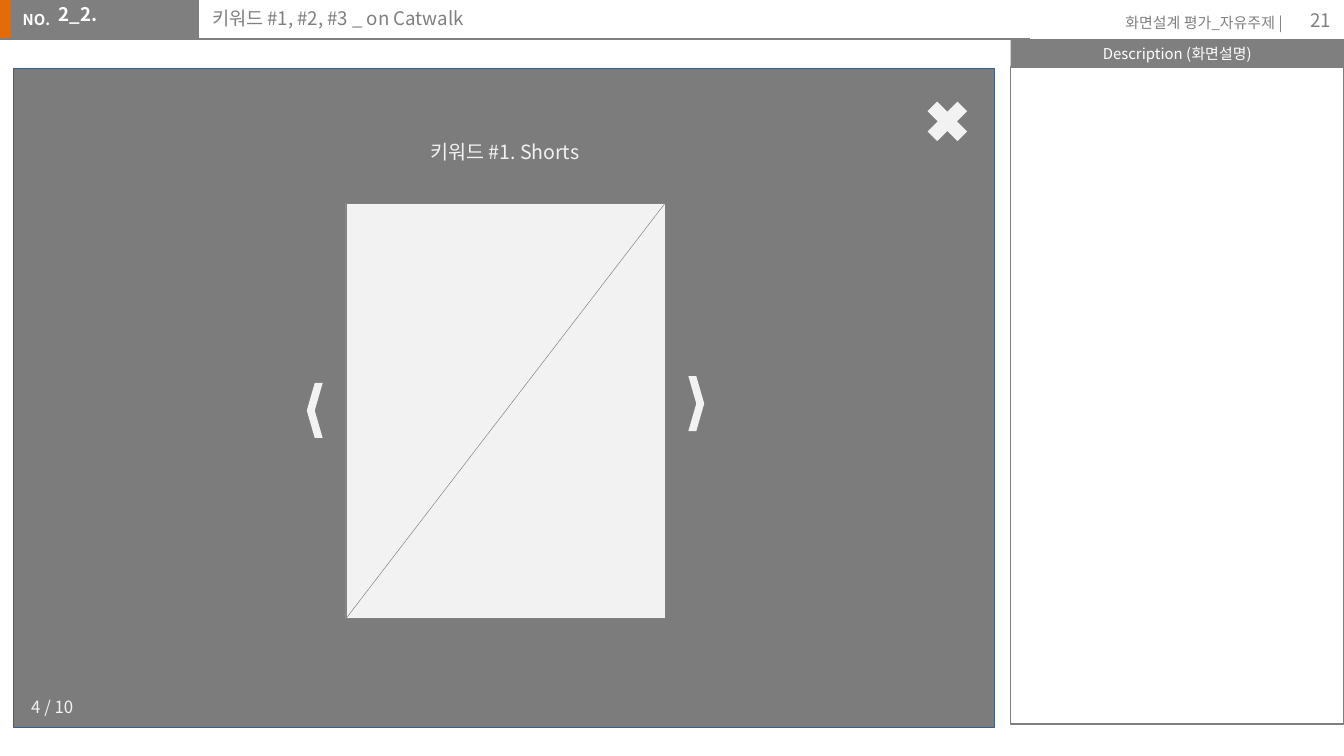
from lxml.etree import SubElement
from pptx import Presentation
from pptx.dml.color import RGBColor
from pptx.enum.shapes import MSO_CONNECTOR, MSO_SHAPE
from pptx.enum.text import MSO_ANCHOR, MSO_AUTO_SIZE, PP_ALIGN
from pptx.oxml.ns import qn
from pptx.util import Cm, Pt

FONT = "Noto Sans CJK KR"
WHITE, PALE, GREY, MID_GREY = "FFFFFF", "F2F2F2", "7F7F7F", "808080"
ORANGE, DARK, BLUE = "E36C09", "262626", "3A5F8C"


def rgb(hex_color):
    return RGBColor.from_string(hex_color)


def add_block(shapes, kind, left, top, width, height, fill=None, line=None, weight=0.25):
    block = shapes.add_shape(kind, Cm(left), Cm(top), Cm(width), Cm(height))
    block.shadow.inherit = False
    if fill:
        block.fill.solid()
        block.fill.fore_color.rgb = rgb(fill)
    else:
        block.fill.background()
    if line:
        block.line.color.rgb = rgb(line)
        block.line.width = Pt(weight)
    else:
        block.line.fill.background()
    return block


def add_line(shapes, x1, y1, x2, y2, color, weight):
    line = shapes.add_connector(MSO_CONNECTOR.STRAIGHT, Cm(x1), Cm(y1), Cm(x2), Cm(y2))
    line.line.color.rgb = rgb(color)
    line.line.width = Pt(weight)
    SubElement(line._element.spPr, qn("a:effectLst"))


def write(frame, text, size, color, bold=False, align=PP_ALIGN.LEFT):
    """Fill the frame's first paragraph, with the font set for Latin and Korean."""
    paragraph = frame.paragraphs[0]
    paragraph.text = text
    paragraph.alignment = align
    font = paragraph.font
    font.size, font.bold, font.name = Pt(size), bold, FONT
    font.color.rgb = rgb(color)
    default_run = paragraph._p.pPr.find(qn("a:defRPr"))
    SubElement(default_run, qn("a:ea"), typeface=FONT)
    return paragraph


def add_text(shapes, left, top, width, height, text, size, color,
             bold=False, align=PP_ALIGN.LEFT, inset=0.13, wrap=True):
    label = shapes.add_textbox(Cm(left), Cm(top), Cm(width), Cm(height))
    frame = label.text_frame
    frame.word_wrap = wrap
    frame.margin_top = frame.margin_bottom = Cm(inset)
    if not wrap:
        frame.auto_size = MSO_AUTO_SIZE.SHAPE_TO_FIT_TEXT
    paragraph = write(frame, text, size, color, bold, align)
    return frame, paragraph


def add_header(shapes, left, top, width, height):
    rect = MSO_SHAPE.RECTANGLE
    right = left + width
    add_block(shapes, rect, left - 0.03, top, 0.3, height, ORANGE)
    add_block(shapes, rect, left + 0.2, top, 3.56, height, GREY)
    add_text(shapes, left + 0.18, top + 0.08, 1.04, 0.61, "NO.", 8, WHITE, bold=True)
    add_line(shapes, left, top + height, left + 19.46, top + height, GREY, 0.75)
    add_text(shapes, right - 5.08, top + 0.13, 4.17, 0.61,
             "화면설계 평가_자유주제 |", 8, GREY, align=PP_ALIGN.RIGHT)
    page_frame, _ = add_text(shapes, right - 1.52, top, 1.52, 0.76, "21", 10, GREY,
                             align=PP_ALIGN.RIGHT)
    page_frame.vertical_anchor = MSO_ANCHOR.MIDDLE
    _, screen_code = add_text(shapes, left + 0.23, top - 0.15, 2.79, 0.79, "2_2.", 10, WHITE,
                              bold=True, inset=0.25)
    screen_code.space_before = Pt(2)
    indents = screen_code._p.pPr
    indents.set("marL", str(Cm(1.27)))
    indents.set("indent", str(Cm(-0.64)))
    add_text(shapes, left + 3.76, top - 0.08, 15.6, 0.81,
             "키워드 #1, #2, #3 _ on Catwalk", 10, GREY, inset=0.25)


def add_description(shapes, left, top, width, height):
    heading_height = 0.53
    heading = add_block(shapes, MSO_SHAPE.RECTANGLE, left, top, width, heading_height, GREY)
    frame = heading.text_frame
    frame.margin_top = frame.margin_bottom = Cm(0.1)
    frame.vertical_anchor = MSO_ANCHOR.MIDDLE
    write(frame, "Description (화면설명)", 8, WHITE, align=PP_ALIGN.CENTER)
    add_block(shapes, MSO_SHAPE.RECTANGLE, left, top + heading_height,
              width, height - heading_height, line=GREY, weight=0.75)


def add_image_slot(shapes, left, top, width, height):
    slot = shapes.add_group_shape().shapes
    add_block(slot, MSO_SHAPE.RECTANGLE, left, top, width, height, PALE, MID_GREY)
    add_line(slot, left + width, top, left, top + height, MID_GREY, 0.25)


def add_popup(shapes, left, top, width, height):
    backdrop = add_block(shapes, MSO_SHAPE.RECTANGLE, left, top, width, height, DARK, BLUE)
    color = backdrop._element.spPr.find(qn("a:solidFill"))[0]
    SubElement(color, qn("a:alpha"), val="60000")

    add_image_slot(shapes, left + 6.28, top + 2.54, 6.03, 7.85)
    add_block(shapes, MSO_SHAPE.MATH_MULTIPLY, left + width - 1.44, top + 0.45,
              1.09, 1.09, PALE)
    previous_arrow, _ = [
        add_block(shapes, MSO_SHAPE.CHEVRON, left + x, top + y, 0.3, 1.04, PALE)
        for x, y in ((5.54, 5.94), (12.75, 5.81))
    ]
    previous_arrow._element.spPr.xfrm.set("flipH", "1")

    _, caption = add_text(shapes, left + 7.57, top + 0.99, 3.43, 0.86, "키워드 #1. Shorts",
                          10.5, PALE, align=PP_ALIGN.CENTER, wrap=False)
    _, counter = add_text(shapes, left + 0.08, top + height - 0.9, 1.4, 0.76, "4 / 10",
                          9, PALE, wrap=False)
    caption.line_spacing = counter.line_spacing = 1.5


def main():
    deck = Presentation()
    deck.slide_width, deck.slide_height = Cm(25.4), Cm(14.29)
    shapes = deck.slides.add_slide(deck.slide_layouts[6]).shapes
    add_header(shapes, 0, 0, 25.4, 0.74)
    add_description(shapes, 19.1, 0.74, 6.3, 12.95)
    add_popup(shapes, 0.26, 1.3, 18.54, 12.45)
    deck.save("out.pptx")


if __name__ == "__main__":
    main()
